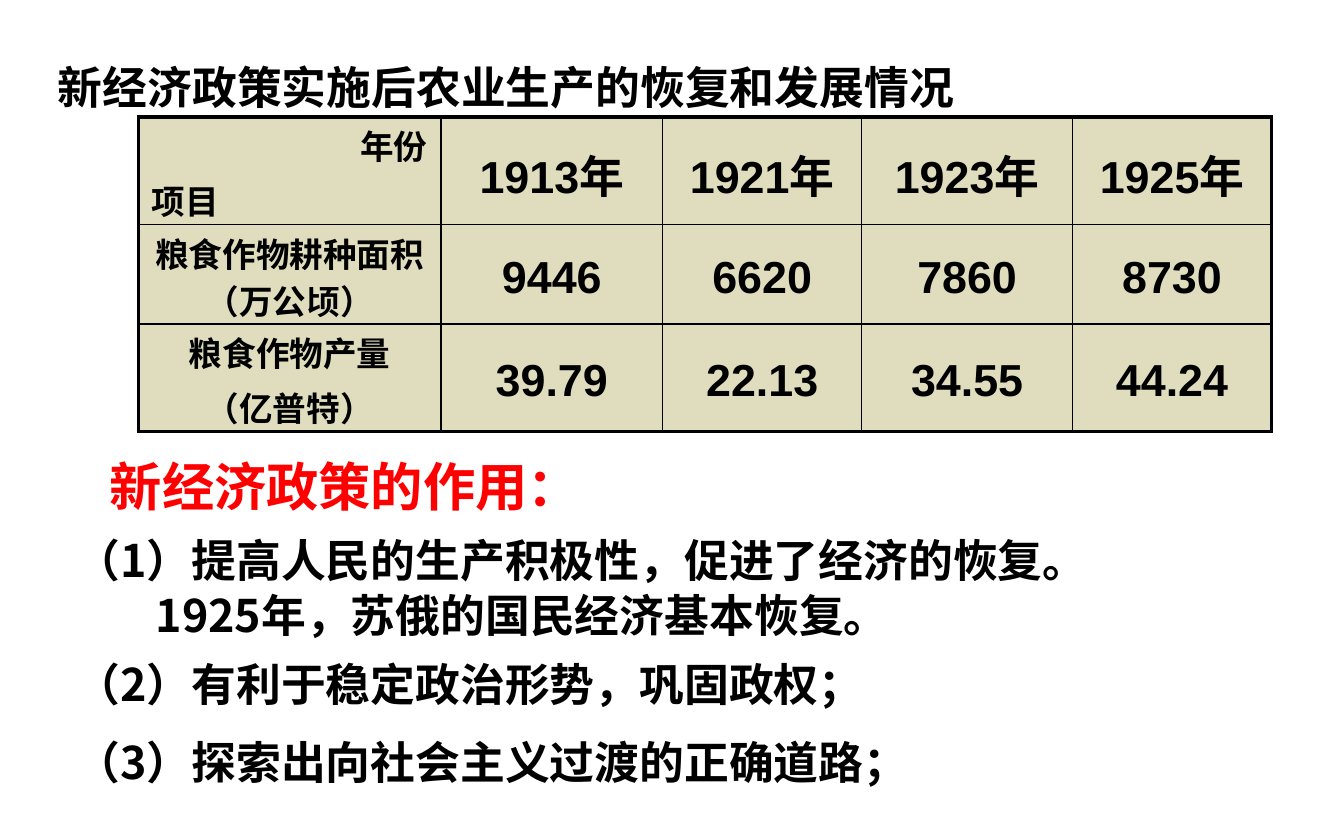
from dataclasses import dataclass

from pptx import Presentation
from pptx.dml.color import RGBColor
from pptx.enum.text import MSO_ANCHOR, MSO_AUTO_SIZE, PP_ALIGN
from pptx.oxml.ns import qn
from pptx.util import Pt
from lxml import etree

LEFT, CENTER, RIGHT = PP_ALIGN.LEFT, PP_ALIGN.CENTER, PP_ALIGN.RIGHT
TOP, MIDDLE, BOTTOM = MSO_ANCHOR.TOP, MSO_ANCHOR.MIDDLE, MSO_ANCHOR.BOTTOM
NO_FIT = MSO_AUTO_SIZE.NONE
HAN = "Noto Sans CJK SC"
BLACK, RED, SAND = "000000", "FF0000", "E0DDBE"
THIN, THICK = 1, 2.25


@dataclass
class Line:
    text: str
    size: float = 24
    color: str = BLACK
    font: str = HAN
    align: PP_ALIGN = LEFT
    before: float = 0
    pitch: float = 0
    indent: float = 0


@dataclass
class Box:
    left: float
    top: float
    width: float
    height: float
    lines: list[Line]


def paint(color: str) -> RGBColor:
    return RGBColor.from_string(color)


def write(frame, lines: list[Line]) -> None:
    for i, line in enumerate(lines):
        para = frame.paragraphs[0] if i == 0 else frame.add_paragraph()
        props = para._p.get_or_add_pPr()
        props.set("marL", str(Pt(line.indent)))
        props.set("indent", "0")
        etree.SubElement(props, qn("a:buNone"))
        para.alignment = line.align
        para.space_before = Pt(line.before)
        if line.pitch:
            para.line_spacing = Pt(line.pitch)
        run = para.add_run()
        run.text = line.text
        font = run.font
        font.name, font.size, font.bold = line.font, Pt(line.size), True
        font.color.rgb = paint(line.color)
        etree.SubElement(font._element, qn("a:ea"), typeface=HAN)


def place(shape, box: Box) -> None:
    shape.left, shape.top = Pt(box.left), Pt(box.top)
    shape.width, shape.height = Pt(box.width), Pt(box.height)
    frame = shape.text_frame
    frame.word_wrap, frame.auto_size = True, NO_FIT
    frame.vertical_anchor = TOP
    frame.margin_left = frame.margin_right = Pt(7.2)
    frame.margin_top, frame.margin_bottom = Pt(6), Pt(0)
    write(frame, box.lines)


def edge(cell, side: str, width: float) -> None:
    props = cell._tc.get_or_add_tcPr()
    rule = etree.SubElement(props, qn(f"a:ln{side}"), w=str(Pt(width)))
    fill = etree.SubElement(rule, qn("a:solidFill"))
    etree.SubElement(fill, qn("a:srgbClr"), val=BLACK)


def draw_grid(slide, rows: list[list[str]], wide: list[float],
              high: list[float]) -> None:
    grid = slide.shapes.add_table(len(high), len(wide), Pt(74.2), Pt(62.6),
                                  Pt(sum(wide)), Pt(sum(high))).table
    grid.first_row = grid.horz_banding = False
    for col, width in zip(grid.columns, wide):
        col.width = Pt(width)
    for row, height in zip(grid.rows, high):
        row.height = Pt(height)
    for r, row in enumerate(rows):
        for c, text in enumerate(row):
            cell = grid.cell(r, c)
            outer = {"L": c == 0, "R": c == len(wide) - 1,
                     "T": r == 0, "B": r == len(high) - 1}
            for side, thick in outer.items():
                edge(cell, side, THICK if thick else THIN)
            cell.fill.solid()
            cell.fill.fore_color.rgb = paint(SAND)
            cell.margin_left = cell.margin_right = Pt(7.2)
            if c == 0:
                cell.vertical_anchor = BOTTOM
                cell.margin_top = cell.margin_bottom = Pt(0)
                aligns = (RIGHT, LEFT) if r == 0 else (CENTER, CENTER)
                lines = [Line(part, 18, font="Arial", align=aligns[i],
                              before=4.5 * i, pitch=25)
                         for i, part in enumerate(text.split("\n"))]
            else:
                cell.vertical_anchor = MIDDLE
                cell.margin_top, cell.margin_bottom = Pt(7), Pt(3)
                lines = [Line(text, font="Arial", align=CENTER)]
            write(cell.text_frame, lines)


TITLE = Box(23.8, 25.9, 660, 36.7,
            [Line("新经济政策实施后农业生产的恢复和发展情况", pitch=29)])
HEAD = Box(51.8, 236.9, 530, 41,
           [Line("新经济政策的作用：", 28, RED, pitch=34)])
BODY = Box(33.2, 279.4, 674.6, 144, [
    Line("（1）提高人民的生产积极性，促进了经济的恢复。", pitch=29),
    Line("1925年，苏俄的国民经济基本恢复。", pitch=29, indent=43),
    Line("（2）有利于稳定政治形势，巩固政权；", pitch=29, before=8),
    Line("（3）探索出向社会主义过渡的正确道路；", pitch=29, before=13),
])
ROWS = [
    ["年份\n项目", "1913年", "1921年", "1923年", "1925年"],
    ["粮食作物耕种面积（万公顷）", "9446", "6620", "7860", "8730"],
    ["粮食作物产量\n（亿普特）", "39.79", "22.13", "34.55", "44.24"],
]


def main() -> None:
    deck = Presentation()
    deck.slide_width, deck.slide_height = Pt(720), Pt(450)
    slide = deck.slides.add_slide(deck.slide_layouts[1])
    place(slide.shapes.title, TITLE)
    draw_grid(slide, ROWS, [162, 118.8, 106.6, 113, 106.6],
              [57.6, 53.3, 57.6])
    place(slide.shapes.add_textbox(0, 0, 0, 0), HEAD)
    place(slide.placeholders[1], BODY)
    deck.save("out.pptx")


if __name__ == "__main__":
    main()
